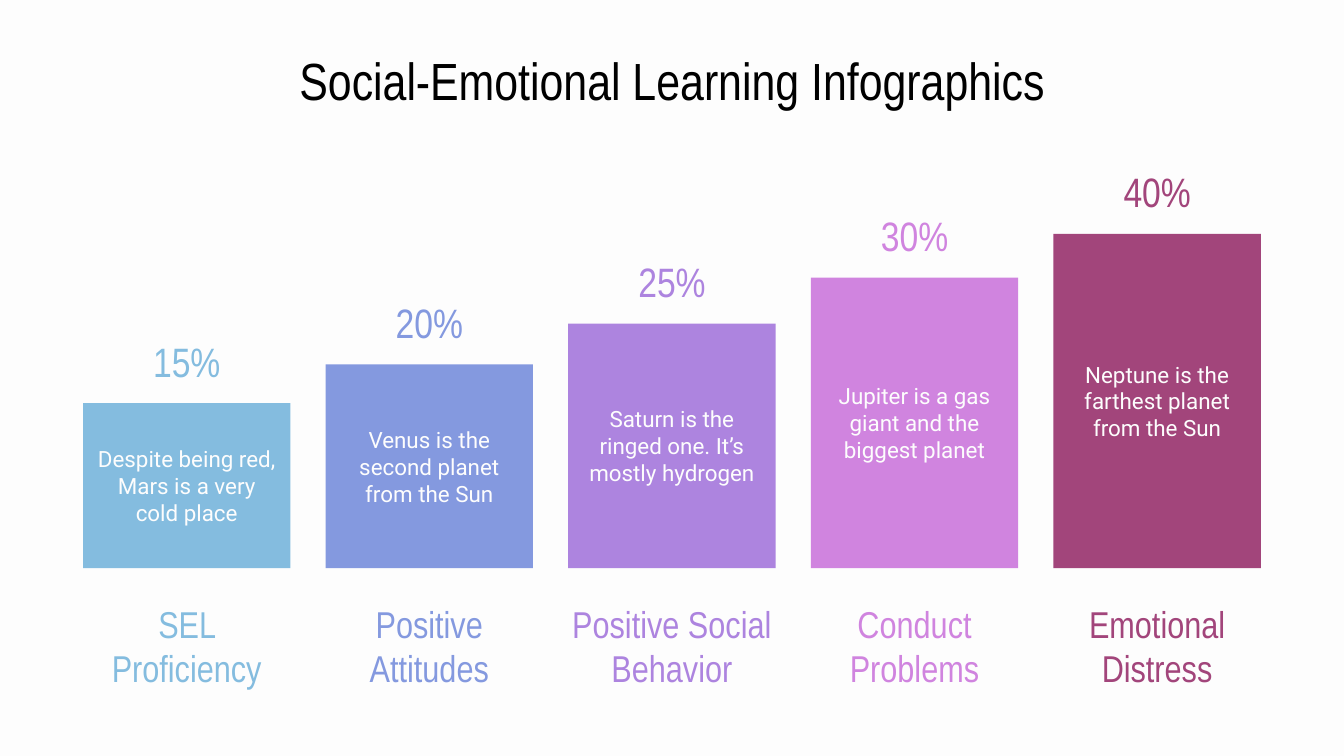
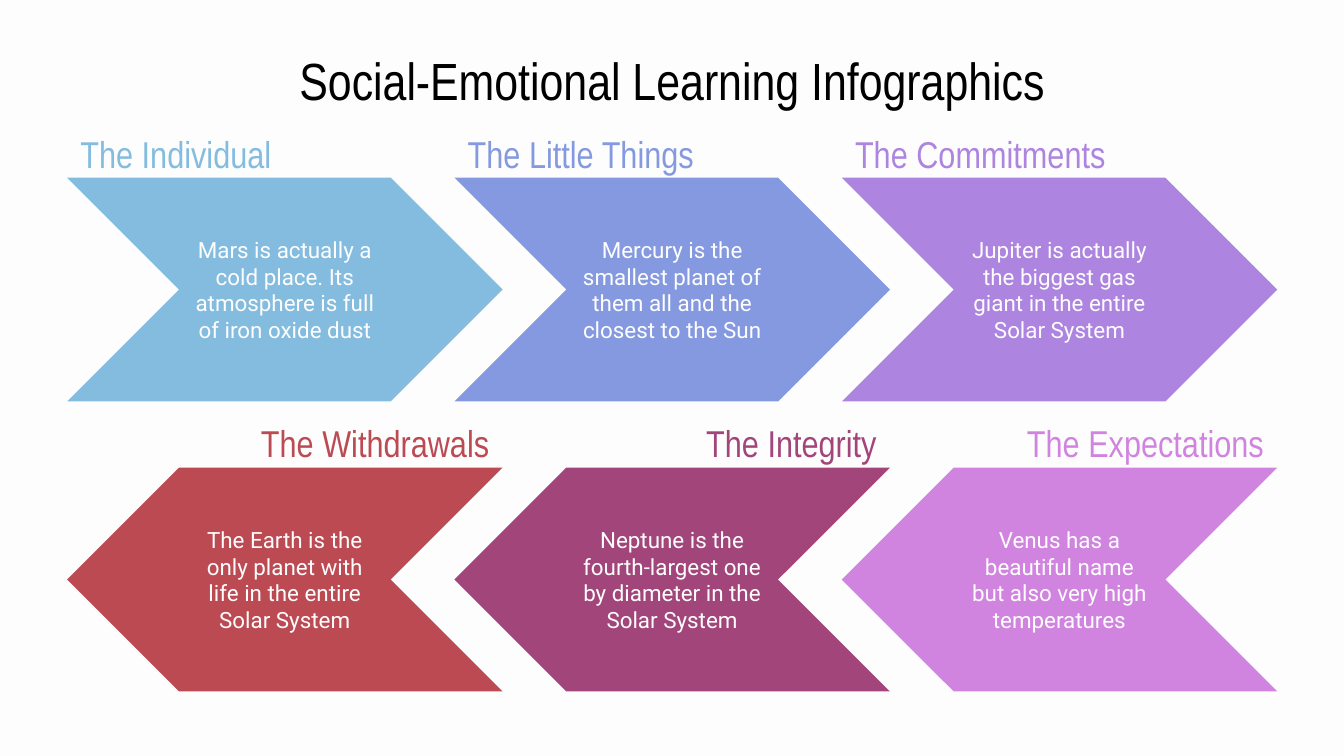
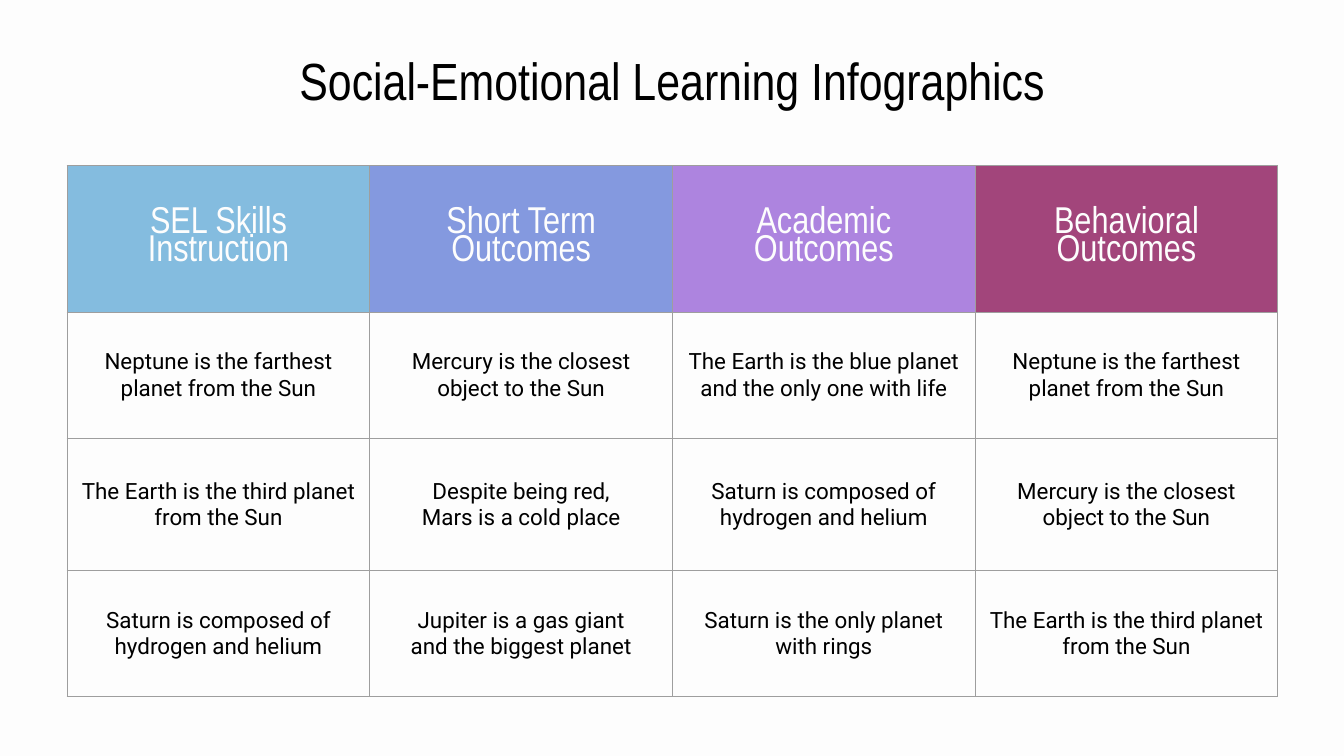
from lxml import etree
from pptx import Presentation
from pptx.dml.color import RGBColor
from pptx.enum.shapes import MSO_SHAPE
from pptx.enum.text import MSO_ANCHOR, MSO_AUTO_SIZE, PP_ALIGN
from pptx.oxml.ns import qn
from pptx.util import Cm, Pt

RECTANGLE, CHEVRON = MSO_SHAPE.RECTANGLE, MSO_SHAPE.CHEVRON
LEFT, CENTER, RIGHT = PP_ALIGN.LEFT, PP_ALIGN.CENTER, PP_ALIGN.RIGHT
MIDDLE = MSO_ANCHOR.MIDDLE
FIXED = MSO_AUTO_SIZE.NONE

# Shared look
PAPER, INK, RULE = "FDFDFD", "000000", "9E9E9E"
SKY, BLUE, VIOLET = "84BCDF", "8499DF", "AD84DF"
ORCHID, PLUM, RED = "D084DF", "A2457B", "BB4A53"
TITLE = {"name": "Arial Narrow", "size": Pt(28), "bold": False}
PERCENT = {**TITLE, "size": Pt(22)}
HEADING = {**TITLE, "size": Pt(20)}
BODY = {"name": "Roboto", "size": Pt(12), "bold": False}
INSET = Cm(0.25)


def rgb(value):
    return RGBColor.from_string(value)


def write(frame, text, style, color, align=CENTER):
    for side in ("left", "top", "right", "bottom"):
        setattr(frame, f"margin_{side}", INSET)
    frame.word_wrap = True
    frame.auto_size = FIXED
    frame.vertical_anchor = MIDDLE
    para = frame.paragraphs[0]
    para.text = text
    para.alignment = align
    for span in para.runs:
        for key, value in style.items():
            setattr(span.font, key, value)
        span.font.color.rgb = rgb(color)


# Deck, background and the three titled pages
deck = Presentation()
deck.slide_width, deck.slide_height = Cm(25.4), Cm(14.29)
background = deck.slide_master.background.fill
background.solid()
background.fore_color.rgb = rgb(PAPER)

pages = []
for number in range(3):
    page = deck.slides.add_slide(deck.slide_layouts[5])
    title = page.shapes.title
    title.left, title.top, title.width, title.height = Cm(1.25), Cm(1.14), Cm(22.89), Cm(0.74)
    write(title.text_frame, "Social-Emotional Learning Infographics", TITLE, INK)
    pages.append(page)
bar_page, arrow_page, table_page = pages

# Slide 1: rising bars on a common base
BARS = [
    ("15%", 7.62, SKY, "SEL Proficiency", "Despite being red, Mars is a very cold place"),
    ("20%", 6.89, BLUE, "Positive Attitudes", "Venus is the second planet from the Sun"),
    ("25%", 6.12, VIOLET, "Positive Social Behavior",
     "Saturn is the ringed one. It’s mostly hydrogen"),
    ("30%", 5.25, ORCHID, "Conduct Problems", "Jupiter is a gas giant and the biggest planet"),
    ("40%", 4.42, PLUM, "Emotional Distress", "Neptune is the farthest planet from the Sun"),
]
BAR_BASE, BAR_WIDTH, BAR_STEP = 10.74, 3.92, 4.585
for index, (percent, top, color, label, text) in enumerate(BARS):
    left = 1.57 + index * BAR_STEP
    bar = bar_page.shapes.add_shape(
        RECTANGLE, Cm(left), Cm(top), Cm(BAR_WIDTH), Cm(BAR_BASE - top))
    bar.shadow.inherit = False
    bar.fill.solid()
    bar.fill.fore_color.rgb = rgb(color)
    bar.line.fill.background()
    write(bar.text_frame, text, BODY, PAPER)
    box = bar_page.shapes.add_textbox(
        Cm(left - 0.25), Cm(11.38), Cm(BAR_WIDTH + 0.5), Cm(1.65))
    write(box.text_frame, label, HEADING, color)
    box = bar_page.shapes.add_textbox(Cm(left), Cm(top - 1.18), Cm(BAR_WIDTH), Cm(0.76))
    write(box.text_frame, percent, PERCENT, color)

# Slide 2: a row of chevrons to the right, then a row to the left
ARROWS = [
    ("The Individual", SKY,
     "Mars is actually a cold place. Its atmosphere is full of iron oxide dust"),
    ("The Little Things", BLUE,
     "Mercury is the smallest planet of them all and the closest to the Sun"),
    ("The Commitments", VIOLET,
     "Jupiter is actually the biggest gas giant in the entire Solar System"),
    ("The Withdrawals", RED,
     "The Earth is the only planet with life in the entire Solar System"),
    ("The Integrity", PLUM,
     "Neptune is the fourth-largest one by diameter in the Solar System"),
    ("The Expectations", ORCHID,
     "Venus has a beautiful name but also very high temperatures"),
]
ARROW_WIDTH, ARROW_HEIGHT, LABEL_WIDTH = 8.23, 4.23, 6.58
for index, (label, color, text) in enumerate(ARROWS):
    row, column = divmod(index, 3)
    left, top = 1.27 + column * 7.32, 3.36 + row * 5.48
    group = arrow_page.shapes.add_group_shape()
    arrow = group.shapes.add_shape(
        CHEVRON, Cm(left), Cm(top), Cm(ARROW_WIDTH), Cm(ARROW_HEIGHT))
    arrow.shadow.inherit = False
    arrow.fill.solid()
    arrow.fill.fore_color.rgb = rgb(color)
    arrow.line.fill.background()
    write(arrow.text_frame, text, BODY, PAPER)
    label_left, align = left, LEFT
    if row == 1:
        arrow._element.spPr.find(qn("a:xfrm")).set("flipH", "1")
        label_left, align = left + ARROW_WIDTH - LABEL_WIDTH, RIGHT
    box = group.shapes.add_textbox(Cm(label_left), Cm(top - 0.86), Cm(LABEL_WIDTH), Cm(0.79))
    write(box.text_frame, label, HEADING, color, align)

# Slide 3: table of outcomes
ROWS = [
    ["SEL Skills Instruction", "Short Term Outcomes", "Academic Outcomes", "Behavioral Outcomes"],
    ["Neptune is the farthest planet from the Sun", "Mercury is the closest object to the Sun",
     "The Earth is the blue planet and the only one with life",
     "Neptune is the farthest planet from the Sun"],
    ["The Earth is the third planet from the Sun", "Despite being red,\vMars is a cold place",
     "Saturn is composed of hydrogen and helium", "Mercury is the closest object to the Sun"],
    ["Saturn is composed of hydrogen and helium",
     "Jupiter is a gas giant\vand the biggest planet",
     "Saturn is the only planet with rings", "The Earth is the third planet from the Sun"],
]
HEADER_COLORS = [SKY, BLUE, VIOLET, PLUM]
ROW_HEIGHTS = [2.77, 2.39, 2.49, 2.39]
table = table_page.shapes.add_table(
    4, 4, Cm(1.27), Cm(3.13), Cm(22.88), Cm(sum(ROW_HEIGHTS))).table
table.first_row = table.horz_banding = False
for row, height in zip(table.rows, ROW_HEIGHTS):
    row.height = Cm(height)
for row, texts in enumerate(ROWS):
    for column, text in enumerate(texts):
        cell = table.cell(row, column)
        for side in ("left", "top", "right", "bottom"):
            setattr(cell, f"margin_{side}", INSET)
        cell.vertical_anchor = MIDDLE
        para = cell.text_frame.paragraphs[0]
        para.text = text
        para.alignment = CENTER
        if row == 0:
            para.line_spacing = 0.8
        for span in para.runs:
            for key, value in (BODY if row else HEADING).items():
                setattr(span.font, key, value)
            span.font.color.rgb = rgb(INK if row else PAPER)
        # Borders come before the fill in the cell properties
        properties = cell._tc.get_or_add_tcPr()
        for edge in ("a:lnL", "a:lnR", "a:lnT", "a:lnB"):
            line = etree.SubElement(properties, qn(edge), w=str(Pt(0.75)))
            solid = etree.SubElement(line, qn("a:solidFill"))
            etree.SubElement(solid, qn("a:srgbClr"), val=RULE)
        if row == 0:
            cell.fill.solid()
            cell.fill.fore_color.rgb = rgb(HEADER_COLORS[column])
        else:
            cell.fill.background()

deck.save("out.pptx")
